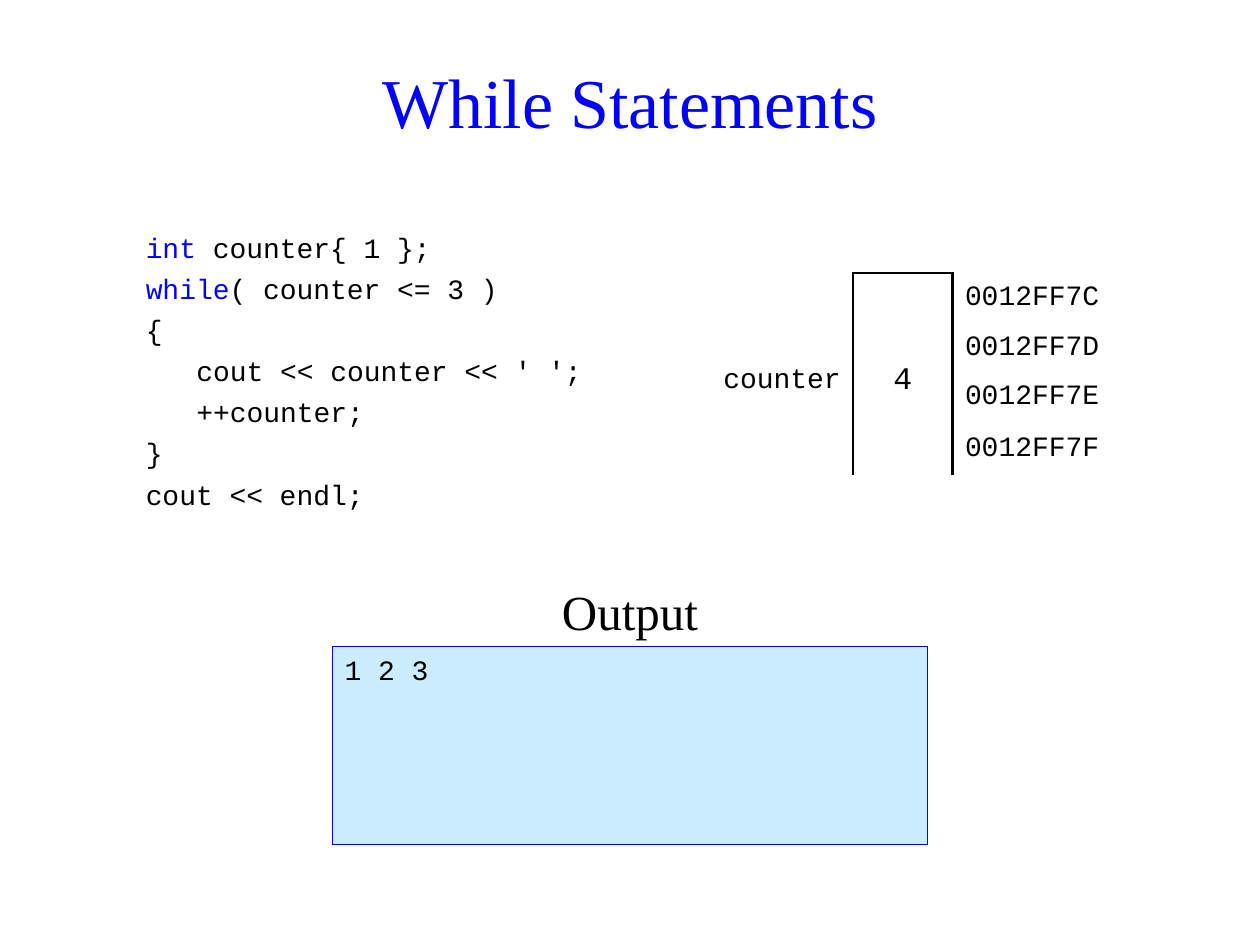
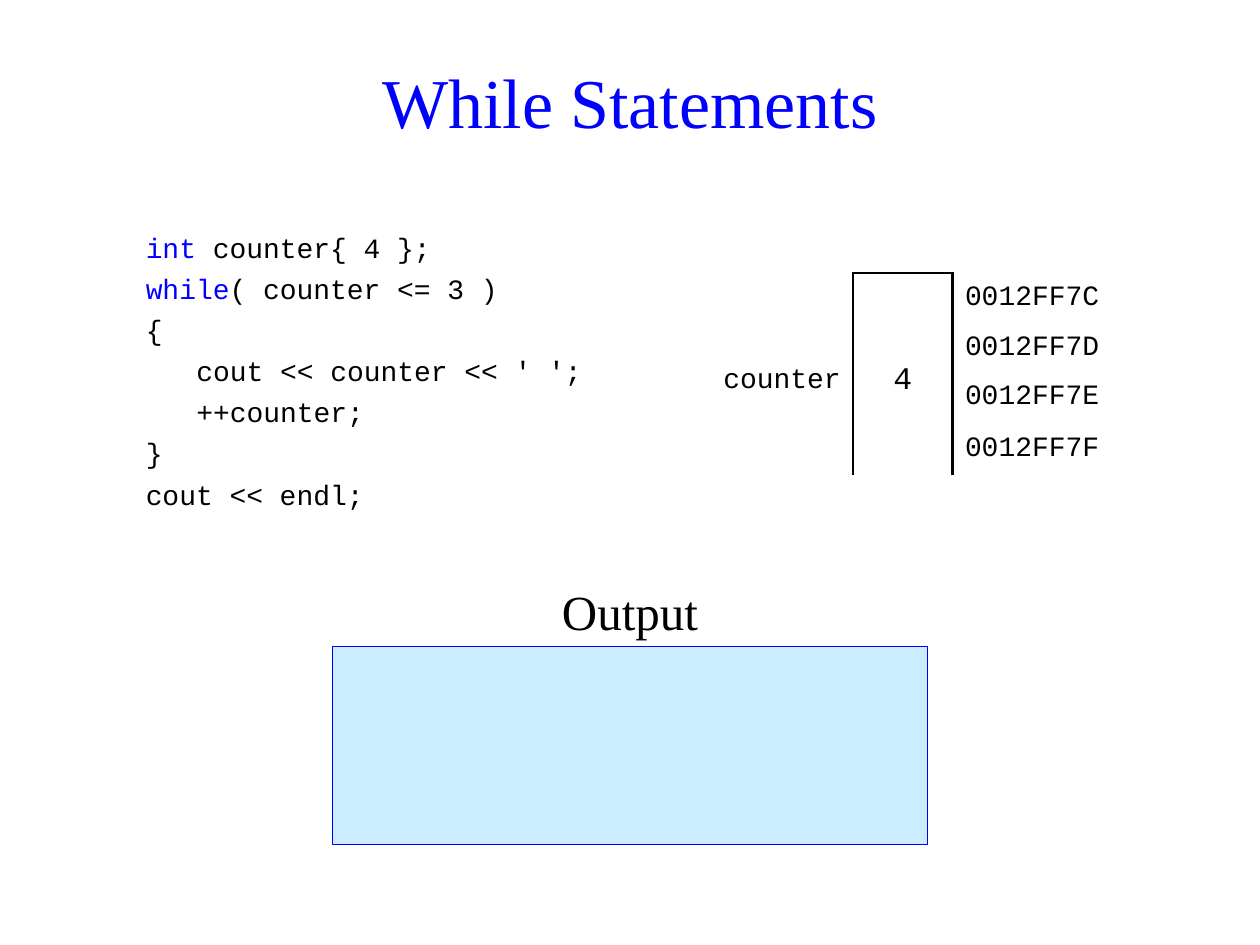
from typing import NamedTuple

from lxml import etree
from pptx import Presentation
from pptx import util as u
from pptx.dml.color import RGBColor
from pptx.enum import shapes, text
from pptx.oxml.ns import qn

BLUE = RGBColor(0x00, 0x00, 0xFF)
BLACK = RGBColor(0x00, 0x00, 0x00)
PALE_BLUE = RGBColor(0xCC, 0xEC, 0xFF)
SERIF = "Times New Roman"
MONO = "Courier New"
CODE_SIZE = 16
CODE_GAP = u.Pt(4.3)
CELL_GAP = u.Pt(3.2)
CODE_INDENT = u.Cm(1.02)
TITLE_ONLY = 5
KEYWORDS = ("int", "while")
ADDRESSES = ("0012FF7C", "0012FF7D", "0012FF7E", "0012FF7F")


class Box(NamedTuple):
    left: float
    top: float
    width: float
    height: float

    def lengths(self) -> list[u.Length]:
        return [u.Cm(value) for value in self]


class CodeLine(NamedTuple):
    content: str
    level: int = 0


class Example(NamedTuple):
    initial: int
    final: int
    output: str


TITLE_BOX = Box(2.69, 1.02, 20.02, 2.01)
CODE_BOX = Box(2.69, 4.52, 9.5, 6)
MEMORY_BOX = Box(14.2, 5.51, 8.5, 4)
MEMORY_COLUMNS = (3, 2, 3.5)
LABEL_BOX = Box(10.7, 11.53, 4, 1.5)
OUTPUT_BOX = Box(6.7, 13.03, 12, 4)

EXAMPLES = (Example(1, 4, "1 2 3"), Example(4, 4, ""))


def style_run(run, size: float, font: str = MONO, color: RGBColor = BLACK) -> None:
    run.font.size = u.Pt(size)
    run.font.name = font
    run.font.color.rgb = color


def style_paragraph(paragraph, size: float, font: str = MONO,
                    color: RGBColor = BLACK, align=text.PP_ALIGN.LEFT) -> None:
    paragraph.alignment = align
    for run in paragraph.runs:
        style_run(run, size, font, color)


def add_title(slide) -> None:
    title = slide.shapes.title
    title.left, title.top, title.width, title.height = TITLE_BOX.lengths()
    title.text_frame.text = "While Statements"
    title.text_frame.vertical_anchor = text.MSO_ANCHOR.MIDDLE
    style_paragraph(title.text_frame.paragraphs[0], 40, SERIF, BLUE, text.PP_ALIGN.CENTER)


def add_code(slide, initial: int) -> None:
    lines = (
        CodeLine(f"int counter{{ {initial} }};"),
        CodeLine("while( counter <= 3 )"),
        CodeLine("{"),
        CodeLine("cout << counter << ' ';", 1),
        CodeLine("++counter;", 1),
        CodeLine("}"),
        CodeLine("cout << endl;"),
    )
    frame = slide.shapes.add_textbox(*CODE_BOX.lengths()).text_frame
    frame.word_wrap = True
    for index, line in enumerate(lines):
        paragraph = frame.add_paragraph() if index else frame.paragraphs[0]
        paragraph.space_before = CODE_GAP
        paragraph._p.get_or_add_pPr().set("marL", str(line.level * CODE_INDENT))
        keyword = next((word for word in KEYWORDS if line.content.startswith(word)), "")
        for part, color in ((keyword, BLUE), (line.content[len(keyword):], BLACK)):
            if part:
                run = paragraph.add_run()
                run.text = part
                style_run(run, CODE_SIZE, color=color)


def set_borders(cell, sides: str) -> None:
    """Draw the sides named in sides (from LRTB) and hide the others."""
    properties = cell._tc.get_or_add_tcPr()
    for side in "LRTB":
        line = etree.SubElement(properties, qn(f"a:ln{side}"), w=str(u.Pt(1.5)))
        if side in sides:
            fill = etree.SubElement(line, qn("a:solidFill"))
            etree.SubElement(fill, qn("a:srgbClr"), val=str(BLACK))
        else:
            etree.SubElement(line, qn("a:noFill"))


def fill_cell(cell, content: str, size: float, align, margin: float,
              line_spacing: float) -> None:
    cell.text_frame.text = content
    cell.vertical_anchor = text.MSO_ANCHOR.MIDDLE
    cell.margin_top = cell.margin_bottom = u.Cm(margin)
    paragraph = cell.text_frame.paragraphs[0]
    paragraph.space_before = CELL_GAP
    paragraph.line_spacing = line_spacing
    style_paragraph(paragraph, size, align=align)


def add_memory_table(slide, value: int) -> None:
    row_count = len(ADDRESSES)
    table = slide.shapes.add_table(
        row_count, len(MEMORY_COLUMNS), *MEMORY_BOX.lengths()).table
    table.first_row = table.horz_banding = False
    for column, width in zip(table.columns, MEMORY_COLUMNS):
        column.width = u.Cm(width)
    for row, address in enumerate(ADDRESSES):
        edges = "T" * (row == 0) + "B" * (row == row_count - 1)
        for column, sides in enumerate(("R", "LR" + edges, "L")):
            cell = table.cell(row, column)
            set_borders(cell, sides)
            cell.fill.background()
        fill_cell(table.cell(row, 2), address, CODE_SIZE, text.PP_ALIGN.LEFT, 0.1, 1.0)
    for column in (0, 1):
        table.cell(0, column).merge(table.cell(row_count - 1, column))
    fill_cell(table.cell(0, 0), "counter", CODE_SIZE, text.PP_ALIGN.RIGHT, 0, 1.4)
    fill_cell(table.cell(0, 1), str(value), 18, text.PP_ALIGN.CENTER, 0, 1.4)


def add_output(slide, output: str) -> None:
    screen = slide.shapes.add_shape(shapes.MSO_SHAPE.RECTANGLE, *OUTPUT_BOX.lengths())
    screen.shadow.inherit = False
    screen.fill.solid()
    screen.fill.fore_color.rgb = PALE_BLUE
    screen.line.color.rgb = BLUE
    screen.line.width = u.Pt(0.75)
    screen.text_frame.vertical_anchor = text.MSO_ANCHOR.TOP
    if output:
        screen.text_frame.text = output
        paragraph = screen.text_frame.paragraphs[0]
        paragraph.space_before = CODE_GAP
        style_paragraph(paragraph, CODE_SIZE)

    label = slide.shapes.add_textbox(*LABEL_BOX.lengths()).text_frame
    label.word_wrap = False
    label.vertical_anchor = text.MSO_ANCHOR.BOTTOM
    label.text = "Output"
    style_paragraph(label.paragraphs[0], 28, SERIF, align=text.PP_ALIGN.CENTER)


def main() -> None:
    presentation = Presentation()
    presentation.slide_width = u.Cm(25.4)
    presentation.slide_height = u.Cm(19.05)
    for example in EXAMPLES:
        slide = presentation.slides.add_slide(presentation.slide_layouts[TITLE_ONLY])
        add_title(slide)
        add_code(slide, example.initial)
        add_memory_table(slide, example.final)
        add_output(slide, example.output)
    presentation.save("out.pptx")


if __name__ == "__main__":
    main()
